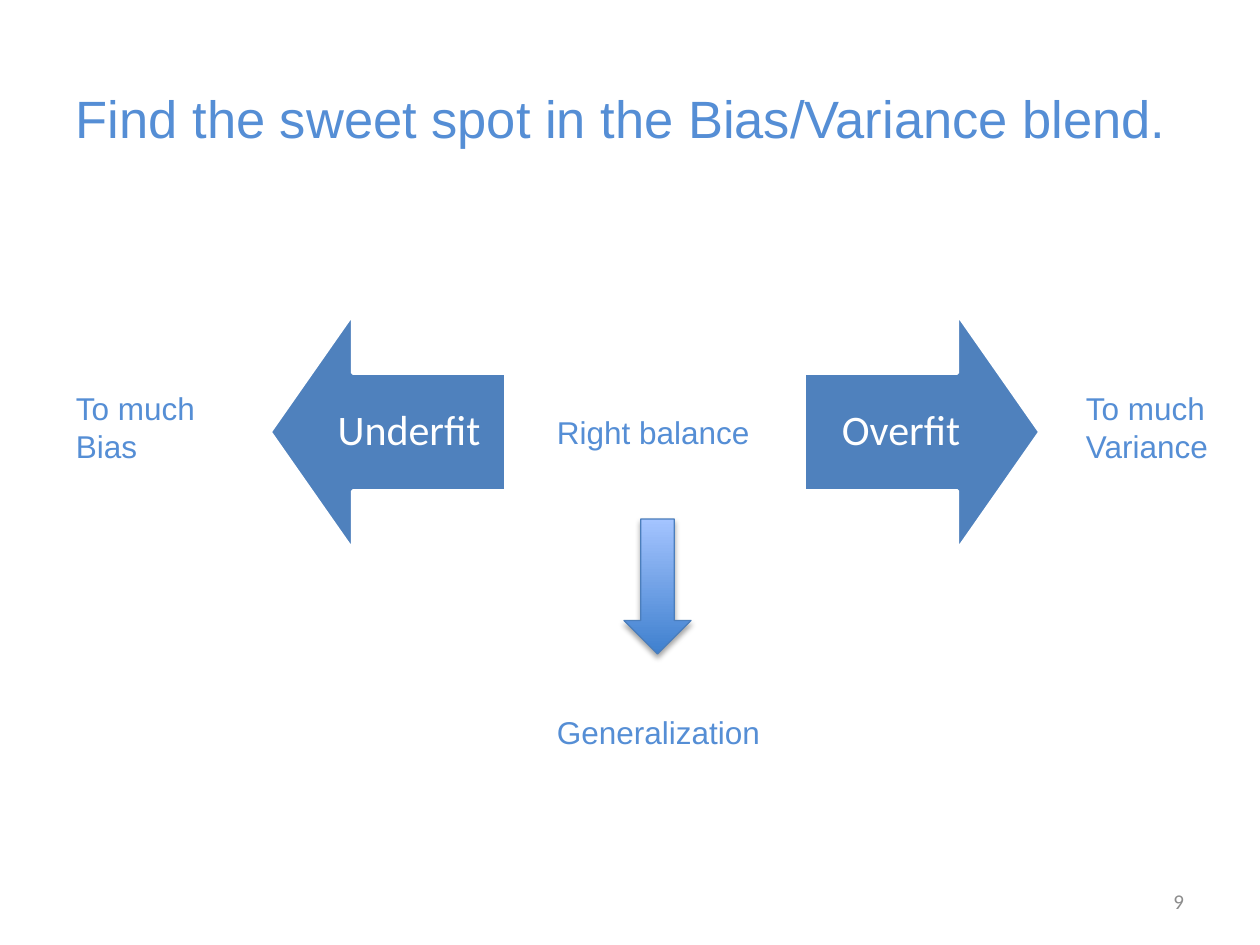
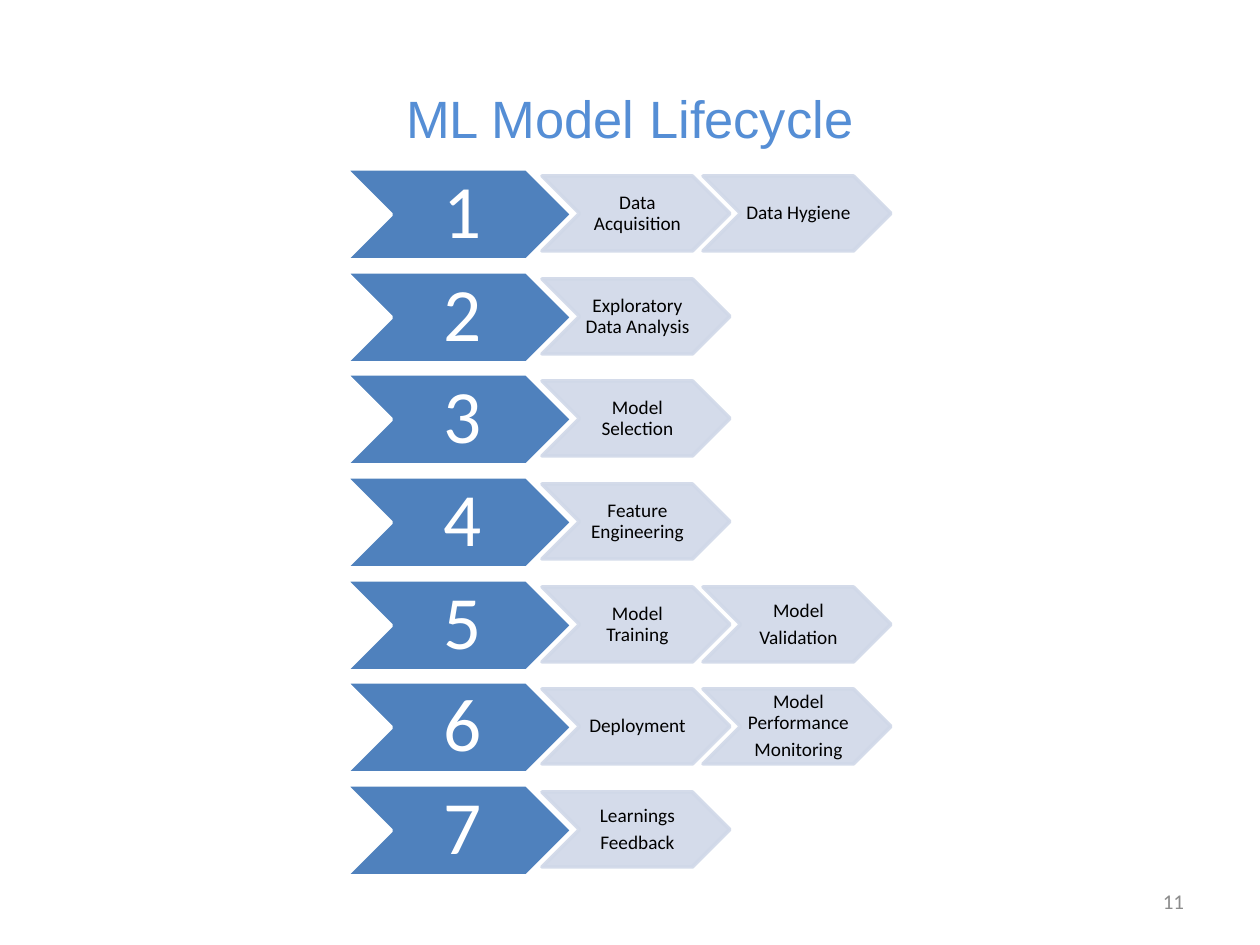
from dataclasses import dataclass
from lxml.etree import SubElement
from pptx import Presentation
from pptx.dml.color import RGBColor
from pptx.enum.shapes import MSO_SHAPE
from pptx.enum.text import MSO_ANCHOR, MSO_AUTO_SIZE, PP_ALIGN
from pptx.oxml.ns import qn
from pptx.util import Emu, Inches, Pt

SCALE = Inches(1) / 126
LEFT, MID, RIGHT = PP_ALIGN.LEFT, PP_ALIGN.CENTER, PP_ALIGN.RIGHT


def px(size):
    return Emu(round(size * SCALE))


def apply(target, values):
    for name, value in values.items():
        setattr(target, name, value)


@dataclass(frozen=True)
class Theme:
    head: str = "Arial"
    body: str = "Calibri"
    title: str = "558ED5"
    fill: str = "4F81BD"
    pale: str = "D0D8E8"
    white: str = "FFFFFF"
    black: str = "000000"
    gray: str = "8C8C8C"
    edge: str = "4B7EBC"
    fade: tuple = ("3F80CE", "A4C4FF")
    huge: int = 43
    large: int = 30
    arrow: int = 24
    note: int = 18
    foot: int = 12
    step: int = 11


class Deck:
    def __init__(self, theme):
        self.theme = theme
        self.show = Presentation()
        apply(self.show, {"slide_width": px(1260), "slide_height": px(945)})

    def page(self, title, number, align=LEFT):
        t = self.theme
        self.slide = self.show.slides.add_slide(self.show.slide_layouts[6])
        self.text((903, 876, 294, 50), number, t.foot, t.gray, t.body, RIGHT)
        self.text((63, 38, 1134, 158), title, t.large, t.title, t.head, align)

    def text(self, box, words, size, color, font, align=LEFT,
             inset=(13, 6, 13, 6), tight=False, **extra):
        frame = self.slide.shapes.add_textbox(*map(px, box)).text_frame
        sides = ("left", "top", "right", "bottom")
        apply(frame, {f"margin_{side}": px(gap) for side, gap in zip(sides, inset)})
        apply(frame, {"word_wrap": True, "vertical_anchor": MSO_ANCHOR.MIDDLE} | extra)
        frame.text = words
        for para in frame.paragraphs:
            para.alignment = align
            if tight:
                apply(para, {"line_spacing": 0.9, "space_after": Pt(size * 0.35)})
            apply(para.font, {"name": font, "size": Pt(size)})
            para.font.color.rgb = RGBColor.from_string(color)

    def note(self, box, words):
        t = self.theme
        self.text(box, words, t.note, t.title, t.head, word_wrap=False,
                  vertical_anchor=MSO_ANCHOR.TOP,
                  auto_size=MSO_AUTO_SIZE.SHAPE_TO_FIT_TEXT)

    def label(self, box, words, size, color, inset):
        self.text(box, words, size, color, self.theme.body, MID, inset, True)

    def shape(self, kind, box, fill, line, width=2, alpha=None):
        shape = self.slide.shapes.add_shape(kind, *map(px, box))
        shape.shadow.inherit = False
        shape.line.width = Pt(width)
        for paint, color in ((shape.fill, fill), (shape.line.fill, line)):
            paint.solid()
            paint.fore_color.rgb = RGBColor.from_string(color)
        if alpha:
            for node in shape._element.spPr.iter(qn("a:srgbClr")):
                SubElement(node, qn("a:alpha"), val=str(alpha * 1000))
        return shape

    def turn(self, left, angle, words, shift):
        t = self.theme
        shape = self.shape(MSO_SHAPE.UP_ARROW, (left, 314, 236, 236), t.fill, t.white)
        shape.rotation = angle
        shape.adjustments[0], shape.adjustments[1] = 0.5, 0.35
        self.label((left + shift, 373, 194, 118), words, t.arrow, t.white, (24,) * 4)

    def drop(self, box):
        t = self.theme
        shape = self.shape(MSO_SHAPE.DOWN_ARROW, box, t.fill, t.edge, 0.75)
        shape.fill.gradient()
        shape.fill.gradient_angle = 90
        for stop, color, place in zip(shape.fill.gradient_stops, t.fade, (0, 1)):
            stop.color.rgb = RGBColor.from_string(color)
            stop.position = place
        effects = shape._element.spPr.find(qn("a:effectLst"))
        shade = SubElement(effects, qn("a:outerShdw"), blurRad=str(Pt(3.1)),
                           dist=str(Pt(1.8)), dir="5400000", rotWithShape="0")
        tint = SubElement(shade, qn("a:srgbClr"), val=t.black)
        SubElement(tint, qn("a:alpha"), val="35000")

    def row(self, top, number, steps):
        t = self.theme
        self.shape(MSO_SHAPE.CHEVRON, (346, top, 226, 91), t.fill, t.white)
        self.label((391, top, 135, 91), number, t.huge, t.white, (8, 4, 0, 4))
        for col, words in enumerate(steps):
            left = 542 + 161 * col
            self.shape(MSO_SHAPE.CHEVRON, (left, top + 7, 188, 75),
                       t.pale, t.pale, alpha=90)
            self.label((left + 38, top + 7, 112, 75), words, t.step, t.black,
                       (3, 1, 0, 1))


deck = Deck(Theme())

deck.page("Find the sweet spot in the Bias/Variance blend.", "9")
deck.turn(270, 270, "Underfit", 42)
deck.turn(804, 90, "Overfit", 0)
deck.note((1073, 383, 155, 89), "To much\nVariance")
deck.note((63, 383, 155, 89), "To much\nBias")
deck.note((544, 407, 219, 50), "Right balance")
deck.drop((624, 519, 67, 135))
deck.note((544, 707, 231, 50), "Generalization")

deck.page("ML Model Lifecycle", "11", MID)
STEPS = (
    ("Data Acquisition", "Data Hygiene"),
    ("Exploratory Data Analysis",),
    ("Model Selection",),
    ("Feature Engineering",),
    ("Model Training", "Model\nValidation"),
    ("Deployment", "Model Performance\nMonitoring"),
    ("Learnings\nFeedback",),
)
for index, steps in enumerate(STEPS):
    deck.row(round(169 + 102.7 * index), str(index + 1), steps)

deck.show.save("out.pptx")
